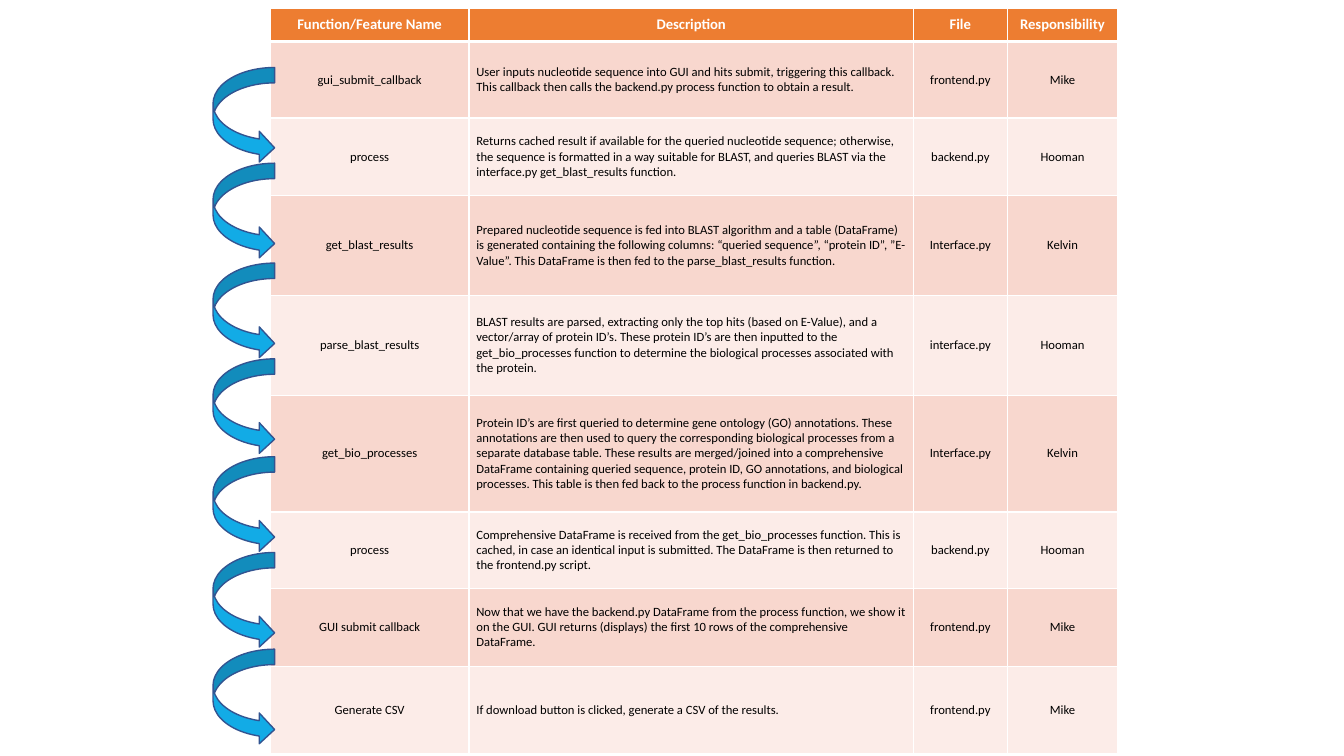
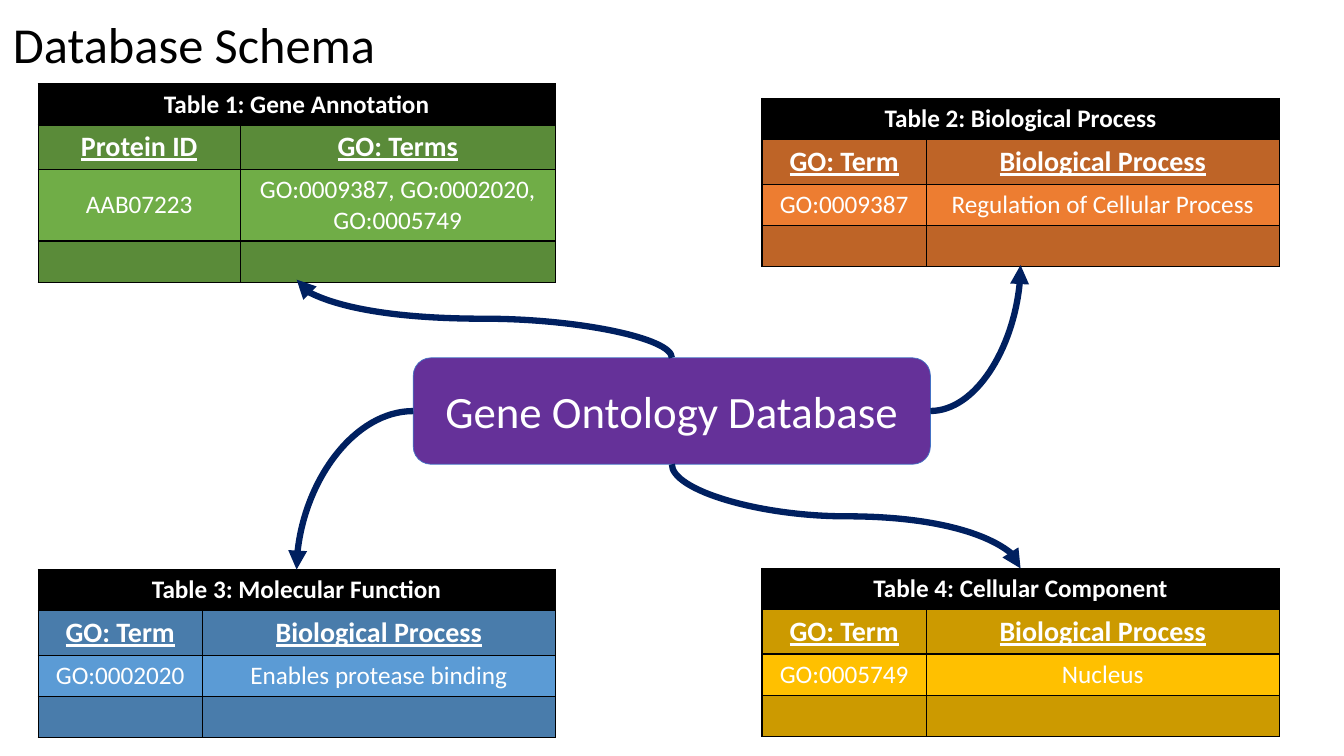
from dataclasses import dataclass
from lxml import etree
from pptx import Presentation
from pptx.dml.color import RGBColor
from pptx.enum.shapes import MSO_CONNECTOR as CONN, MSO_SHAPE as SHAPE
from pptx.enum.text import MSO_ANCHOR as ANCHOR, MSO_AUTO_SIZE as AUTO, PP_ALIGN as ALIGN
from pptx.oxml.ns import qn
from pptx.util import Pt


@dataclass(frozen=True)
class Theme:
    font: str = "Calibri"
    white: str = "FFFFFF"
    black: str = "000000"
    header: str = "ED7D31"
    bands: tuple = ("F8D7CE", "FCECE8")
    step: str = "00A5E5"
    step_line: str = "325491"
    hub: str = "653199"
    hub_line: str = "4472C4"
    link: str = "002060"
    title_size: float = 36
    hub_size: float = 32
    field_size: float = 20
    schema_size: float = 18
    header_size: float = 10.5
    body_size: float = 9


T = Theme()

# Content: function overview
HEADERS = ["Function/Feature Name", "Description", "File", "Responsibility"]
FUNCTIONS = [
    ("gui_submit_callback",
     "User inputs nucleotide sequence into GUI and hits submit, triggering this callback. "
     "This callback then calls the backend.py process function to obtain a result.",
     "frontend.py", "Mike"),
    ("process",
     "Returns cached result if available for the queried nucleotide sequence; otherwise, the "
     "sequence is formatted in a way suitable for BLAST, and queries BLAST via the "
     "interface.py get_blast_results function.",
     "backend.py", "Hooman"),
    ("get_blast_results",
     "Prepared nucleotide sequence is fed into BLAST algorithm and a table (DataFrame) is "
     "generated containing the following columns: “queried sequence”, “protein ID”, "
     "”E-Value”. This DataFrame is then fed to the parse_blast_results function.",
     "Interface.py", "Kelvin"),
    ("parse_blast_results",
     "BLAST results are parsed, extracting only the top hits (based on E-Value), and a "
     "vector/array of protein ID’s. These protein ID’s are then inputted to the "
     "get_bio_processes function to determine the biological processes associated with "
     "the protein.",
     "interface.py", "Hooman"),
    ("get_bio_processes",
     "Protein ID’s are first queried to determine gene ontology (GO) annotations. These "
     "annotations are then used to query the corresponding biological processes from a "
     "separate database table. These results are merged/joined into a comprehensive "
     "DataFrame containing queried sequence, protein ID, GO annotations, and biological "
     "processes. This table is then fed back to the process function in backend.py.",
     "Interface.py", "Kelvin"),
    ("process",
     "Comprehensive DataFrame is received from the get_bio_processes function. This is "
     "cached, in case an identical input is submitted. The DataFrame is then returned to "
     "the frontend.py script.",
     "backend.py", "Hooman"),
    ("GUI submit callback",
     "Now that we have the backend.py DataFrame from the process function, we show it on "
     "the GUI. GUI returns (displays) the first 10 rows of the comprehensive DataFrame.",
     "frontend.py", "Mike"),
    ("Generate CSV", "If download button is clicked, generate a CSV of the results.",
     "frontend.py", "Mike"),
]
FUNCTION_COLS = [142, 317.5, 67, 79]
FUNCTION_ROWS = [23.8, 54.7, 55.4, 71.3, 71.3, 83.5, 54.7, 55.4, 62.6]
STEP_TOPS = [48.2, 116.6, 187.9, 256.3, 326.2, 394.6, 463.7]

# Content: database schema
TITLE = "Database Schema"
HUB_TEXT = "Gene Ontology Database"
HUB = (295.2, 255.6, 369.4, 76)
LEFT, RIGHT = 27.2, 544.3
ROW_H = 29.5
SCHEMAS = [
    dict(name="Table 1: Gene Annotation", fields=("Protein ID", "GO: Terms"),
         values=("AAB07223", "GO:0009387, GO:0002020, GO:0005749"),
         colors=("5A8B39", "70AD47"), at=(LEFT, 59.8), height=140, first_col=144.5,
         hub_side="top"),
    dict(name="Table 2: Biological Process", fields=("GO: Term", "Biological Process"),
         values=("GO:0009387", "Regulation of Cellular Process"),
         colors=("BE6427", "ED7D31"), at=(RIGHT, 70.4), height=119, first_col=117.4,
         hub_side="right"),
    dict(name="Table 3: Molecular Function", fields=("GO: Term", "Biological Process"),
         values=("GO:0002020", "Enables protease binding"),
         colors=("497CAB", "5B9BD5"), at=(LEFT, 406.8), height=119, first_col=117.4,
         hub_side="left"),
    dict(name="Table 4: Cellular Component", fields=("GO: Term", "Biological Process"),
         values=("GO:0005749", "Nucleus"),
         colors=("CC9A00", "FFC000"), at=(RIGHT, 406), height=119, first_col=117.4,
         hub_side="bottom"),
]


# Shared helpers
def pts(*values):
    return [Pt(v) for v in values]


def paint(sp, fill, line, width):
    sp.shadow.inherit = False
    sp.fill.solid()
    sp.fill.fore_color.rgb = RGBColor.from_string(fill)
    sp.line.color.rgb = RGBColor.from_string(line)
    sp.line.width = Pt(width)


def write(tf, text, size, color, align=ALIGN.CENTER, **style):
    p = tf.paragraphs[0]
    p.alignment = align
    if text:
        r = p.add_run()
        r.text = text
        r.font.color.rgb = RGBColor.from_string(color)
        for key, value in dict(name=T.font, size=Pt(size), **style).items():
            setattr(r.font, key, value)
    return p


def border(cell, color, widths):
    tcPr = cell._tc.get_or_add_tcPr()
    for side, width in widths.items():
        ln = etree.SubElement(tcPr, qn(f"a:ln{side}"), w=str(Pt(width)))
        fill = etree.SubElement(ln, qn("a:solidFill"))
        etree.SubElement(fill, qn("a:srgbClr"), val=color)


def format_cell(cell, fill, line, **widths):
    border(cell, line, {"L": 1, "R": 1, "T": 1, "B": 1, **widths})
    cell.fill.solid()
    cell.fill.fore_color.rgb = RGBColor.from_string(fill)
    cell.vertical_anchor = ANCHOR.MIDDLE


def add_grid(s, at, cols, rows):
    frame = s.shapes.add_table(len(rows), len(cols), *pts(*at, sum(cols), sum(rows)))
    table = frame.table
    table.first_row = table.horz_banding = False
    for col, width in zip(table.columns, cols):
        col.width = Pt(width)
    for row, height in zip(table.rows, rows):
        row.height = Pt(height)
    return table


# Function overview slide
def add_functions(prs):
    s = prs.slides.add_slide(prs.slide_layouts[6])
    table = add_grid(s, (193, 5.8), FUNCTION_COLS, FUNCTION_ROWS)
    margins = dict(margin_left=5.3, margin_right=5.3, margin_top=2.7, margin_bottom=2.7)
    for i, row in enumerate([HEADERS, *FUNCTIONS]):
        head = i == 0
        for j, text in enumerate(row):
            cell = table.cell(i, j)
            fill = T.header if head else T.bands[(i - 1) % 2]
            # The heavy rule under the header is shared by the first body row
            format_cell(cell, fill, T.white, B=3 if head else 1, T=3 if i == 1 else 1)
            for key, value in margins.items():
                setattr(cell, key, Pt(value))
            write(cell.text_frame, text, T.header_size if head else T.body_size,
                  T.white if head else T.black,
                  ALIGN.LEFT if j == 1 and not head else ALIGN.CENTER, bold=head)

    # Step arrows
    for top in STEP_TOPS:
        sp = s.shapes.add_shape(SHAPE.CURVED_RIGHT_ARROW, *pts(152.2, top, 44, 68.4))
        paint(sp, T.step, T.step_line, 1)
        color = sp._element.spPr.find(qn("a:solidFill"))[0]
        etree.SubElement(color, qn("a:alpha"), val="93000")


# Database schema slide
def add_schema(s, name, fields, values, colors, at, first_col, **_):
    dark, light = colors
    table = add_grid(s, at, [first_col, HUB[2] - first_col], [ROW_H] * 4)
    rows = [
        ((name, ""), T.black, T.schema_size, dict(bold=True)),
        (fields, dark, T.field_size, dict(bold=True, underline=True)),
        (values, light, T.schema_size, dict(bold=False)),
        (("", ""), dark, T.schema_size, {}),
    ]
    for i, (texts, fill, size, style) in enumerate(rows):
        for j, text in enumerate(texts):
            cell = table.cell(i, j)
            format_cell(cell, fill, T.black)
            write(cell.text_frame, text, size, T.white, **style)
    table.cell(0, 0).merge(table.cell(0, 1))


def add_link(s, start, end, vertical):
    (x1, y1), (x2, y2) = start, end
    if vertical:
        # Lay the frame out a quarter turn ahead, then turn it back about its centre
        cx, cy, dx, dy = (x1 + x2) / 2, (y1 + y2) / 2, (x2 - x1) / 2, (y2 - y1) / 2
        x1, y1, x2, y2 = cx + dy, cy - dx, cx - dy, cy + dx
    link = s.shapes.add_connector(CONN.CURVE, *pts(x1, y1, x2, y2))
    spPr = link._element.spPr
    if vertical:
        spPr.find(qn("a:xfrm")).set("rot", "16200000")
    else:
        spPr.find(qn("a:prstGeom")).set("prst", "curvedConnector2")
    link.line.color.rgb = RGBColor.from_string(T.link)
    link.line.width = Pt(4.5)
    etree.SubElement(spPr.find(qn("a:ln")), qn("a:tailEnd"), type="triangle")
    etree.SubElement(spPr, qn("a:effectLst"))


def add_database(prs):
    s = prs.slides.add_slide(prs.slide_layouts[5])
    title = s.shapes.title
    for key, value in dict(left=2, top=0, width=828, height=67).items():
        setattr(title, key, Pt(value))
    tf = title.text_frame
    tf.auto_size, tf.vertical_anchor = AUTO.NONE, ANCHOR.MIDDLE
    write(tf, TITLE, T.title_size, T.black, ALIGN.LEFT).line_spacing = 0.9

    # Central database box
    hub = s.shapes.add_shape(SHAPE.ROUNDED_RECTANGLE, *pts(*HUB))
    paint(hub, T.hub, T.hub_line, 0.5)
    hub.text_frame.vertical_anchor = ANCHOR.MIDDLE
    write(hub.text_frame, HUB_TEXT, T.hub_size, T.white)

    # Tables, each linked from one side of the box
    x, y, w, h = HUB
    sides = dict(top=(x + w / 2, y), right=(x + w, y + h / 2),
                 bottom=(x + w / 2, y + h), left=(x, y + h / 2))
    for schema in SCHEMAS:
        add_schema(s, **schema)
    for schema in SCHEMAS:
        left, top = schema["at"]
        near_edge = top + schema["height"] if top < y else top
        side = schema["hub_side"]
        add_link(s, sides[side], (left + w / 2, near_edge), side in ("top", "bottom"))


def main():
    prs = Presentation()
    prs.slide_width, prs.slide_height = pts(960, 540)
    add_functions(prs)
    add_database(prs)
    prs.save("out.pptx")


if __name__ == "__main__":
    main()
